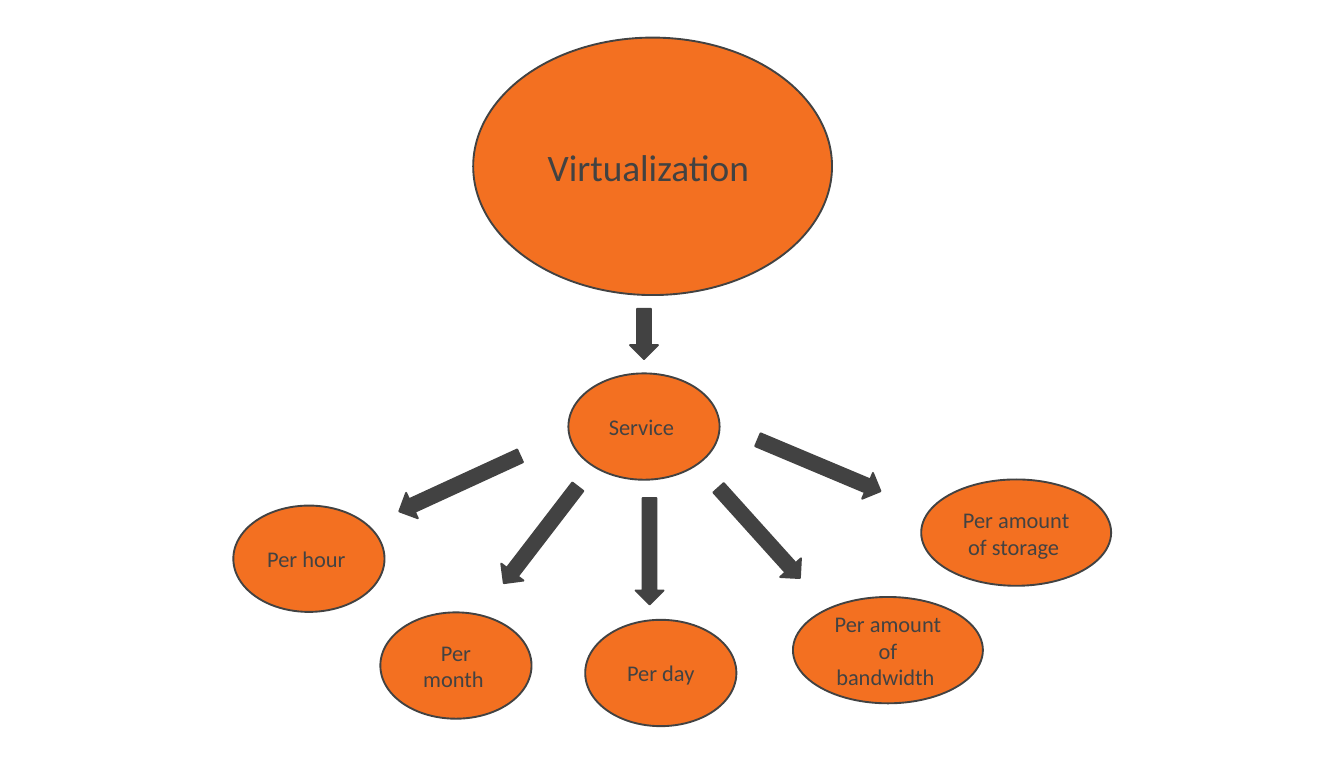
from pptx import Presentation
from pptx.dml.color import RGBColor
from pptx.enum.shapes import MSO_SHAPE
from pptx.enum.text import MSO_ANCHOR, PP_ALIGN
from pptx.util import Pt

ORANGE, GREY = "F37021", "424242"
SMALL, WIDE, LARGE = (162, 114), (203.5, 114), (384.5, 276)
ARROW_WIDTH = 30

# text, left, top, (width, height), font size
BUBBLES = [
    ("Virtualization ", 507, 40.3, LARGE, 40),
    ("Service ", 609, 400.3, SMALL, 24),
    ("Per hour ", 250, 542, SMALL, 24),
    ("Per month ", 407.5, 656.5, SMALL, 24),
    ("Per day", 627, 664.5, SMALL, 24),
    ("Per amount of bandwidth ", 849.6, 640, WIDE, 24),
    ("Per amount of storage ", 987, 514, WIDE, 24),
]

# centre x, centre y, length, rotation
ARROWS = [
    (690, 358, 54, 0),
    (492.5, 518.5, 142.5, 65.3),
    (579.5, 573.5, 130.3, 37.5),
    (696, 591, 114, 0),
    (813.5, 571.3, 130.3, 318),
    (877.7, 499, 142.5, 292.8),
]


def rgb(value):
    return RGBColor.from_string(value)


def add_outlined(slide, kind, left, top, width, height, fill):
    s = slide.shapes.add_shape(kind, Pt(left), Pt(top), Pt(width), Pt(height))
    s.shadow.inherit = False
    s.fill.solid()
    s.fill.fore_color.rgb = rgb(fill)
    s.line.color.rgb = rgb(GREY)
    s.line.width = Pt(2)
    return s


def add_bubble(slide, text, left, top, size, font_size):
    s = add_outlined(slide, MSO_SHAPE.OVAL, left, top, *size, ORANGE)
    tf = s.text_frame
    tf.word_wrap = True
    tf.vertical_anchor = MSO_ANCHOR.MIDDLE
    p = tf.paragraphs[0]
    p.alignment = PP_ALIGN.CENTER
    r = p.add_run()
    r.text = text
    for name, value in {"name": "Calibri", "size": Pt(font_size)}.items():
        setattr(r.font, name, value)
    r.font.color.rgb = rgb(GREY)


def add_arrow(slide, x, y, length, rotation):
    s = add_outlined(slide, MSO_SHAPE.DOWN_ARROW, x - ARROW_WIDTH / 2,
                     y - length / 2, ARROW_WIDTH, length, GREY)
    s.rotation = rotation


prs = Presentation()
prs.slide_width, prs.slide_height = Pt(1440), Pt(824.4)
slide = prs.slides.add_slide(prs.slide_layouts[6])
for bubble in BUBBLES:
    add_bubble(slide, *bubble)
for arrow in ARROWS:
    add_arrow(slide, *arrow)
prs.save("out.pptx")
